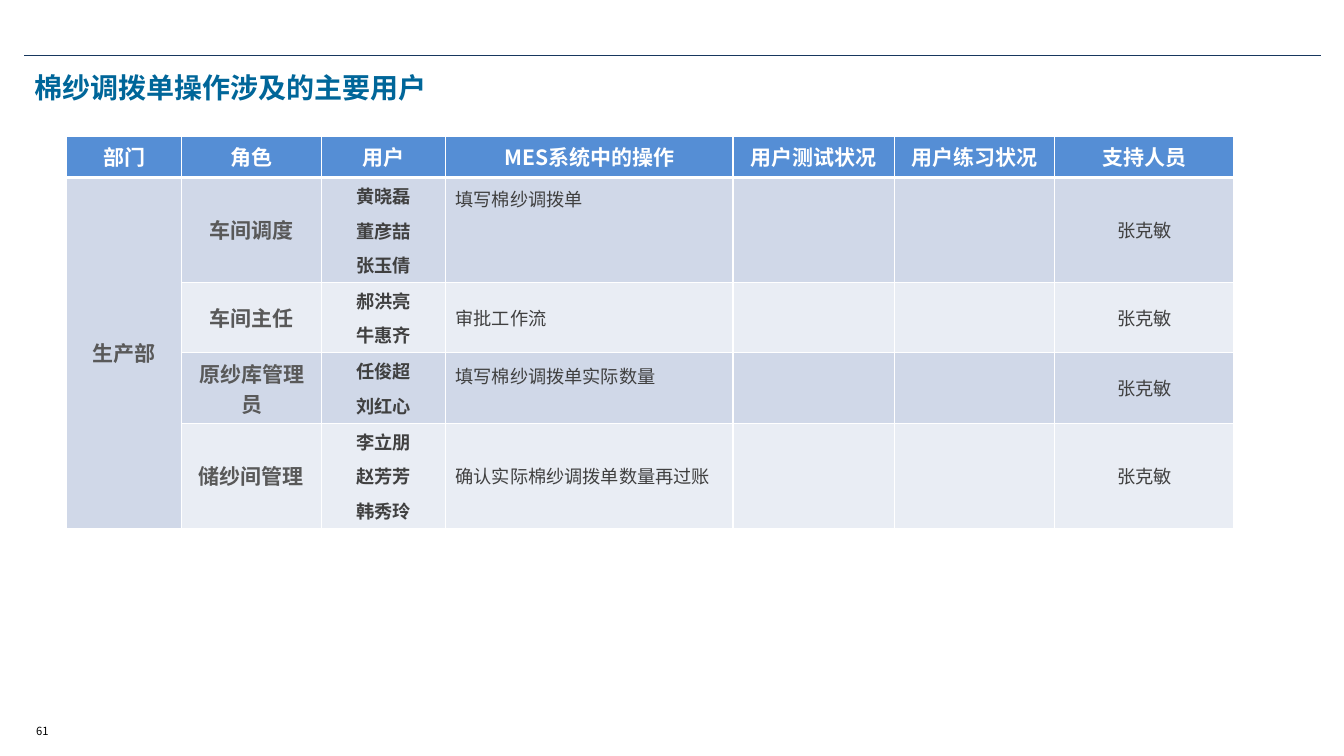
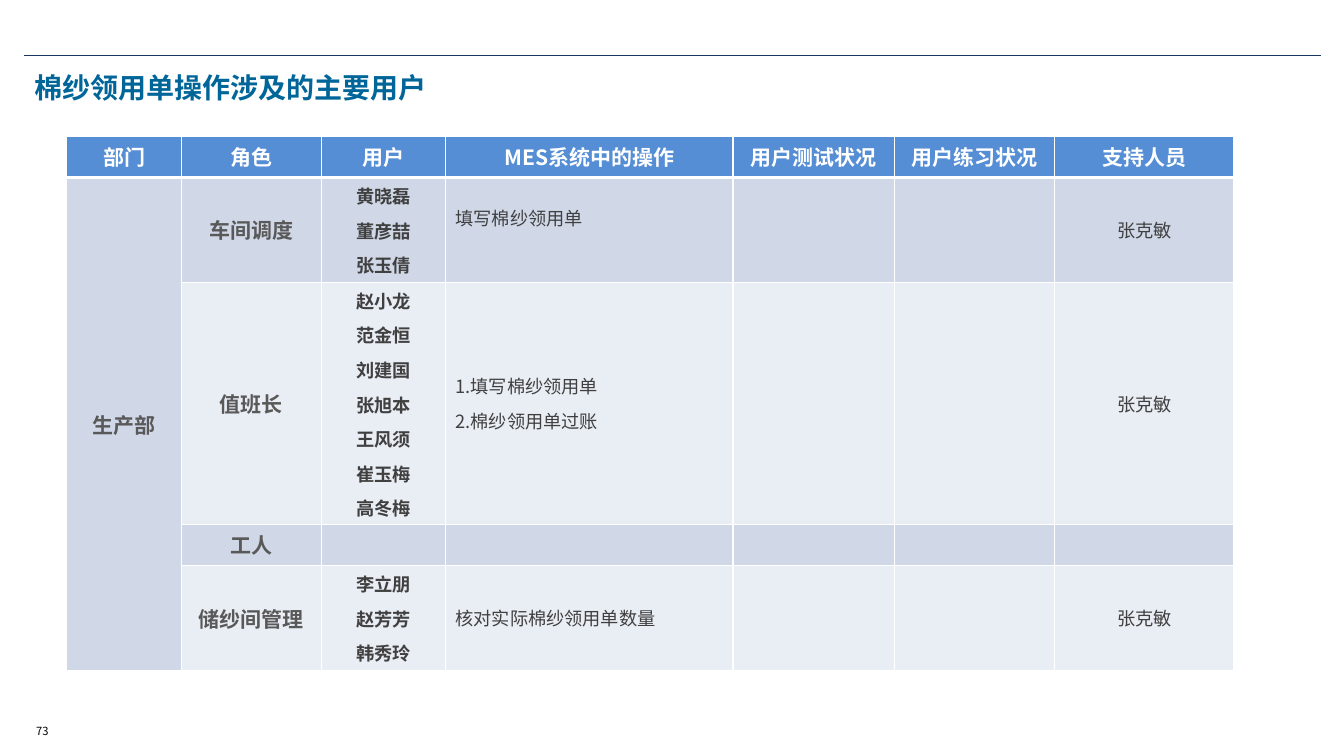
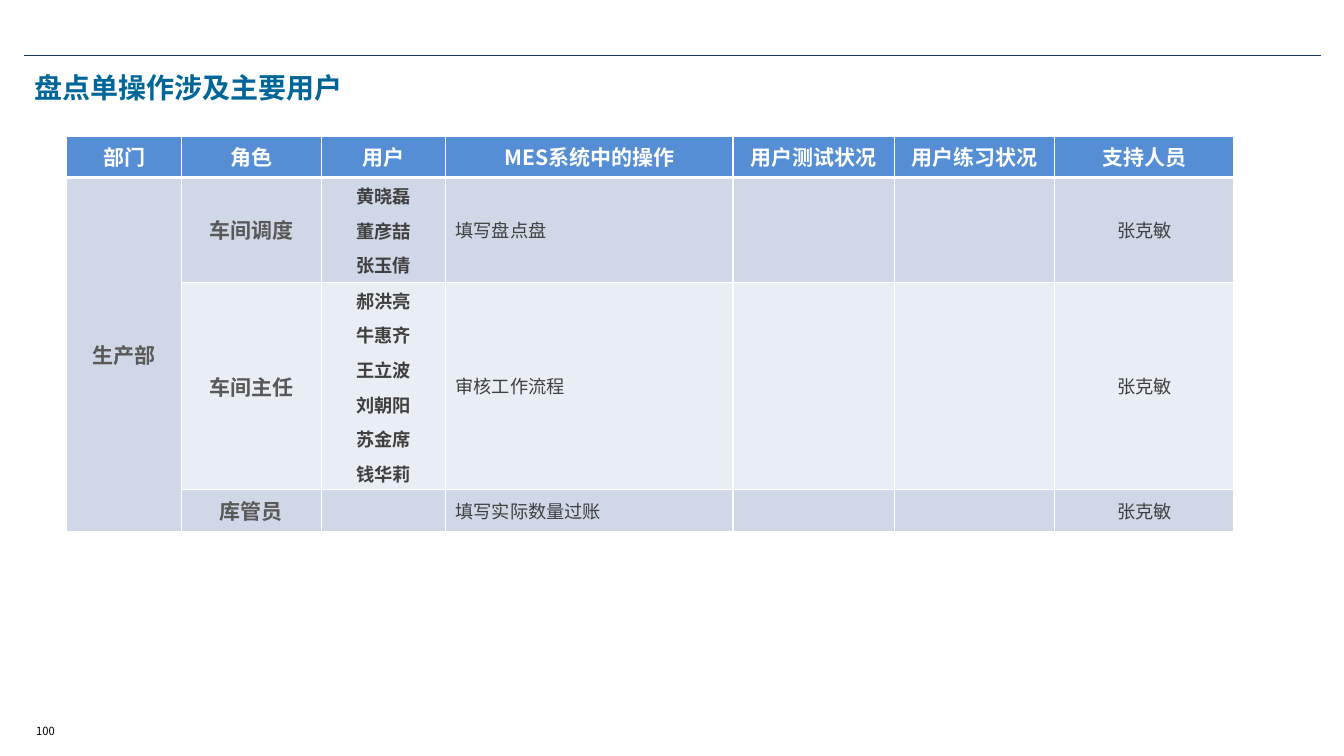
from dataclasses import dataclass

import lxml.etree
import pptx
import pptx.dml.color
import pptx.enum.shapes
import pptx.enum.text
import pptx.oxml.ns
import pptx.slide
import pptx.table
import pptx.text.text
import pptx.util

Inches = pptx.util.Inches
Pt = pptx.util.Pt
RGBColor = pptx.dml.color.RGBColor
Align = pptx.enum.text.PP_ALIGN
Anchor = pptx.enum.text.MSO_ANCHOR
qn = pptx.oxml.ns.qn

FONT = "Noto Sans CJK SC"
NAVY = RGBColor(0x17, 0x37, 0x5E)
TITLE_BLUE = RGBColor(0x00, 0x66, 0x99)
HEADER_BLUE = RGBColor(0x55, 0x8E, 0xD5)
BANDS = (RGBColor(0xD0, 0xD8, 0xE8), RGBColor(0xE9, 0xED, 0xF4))
WHITE = RGBColor(0xFF, 0xFF, 0xFF)
BLACK = RGBColor(0x00, 0x00, 0x00)
ROLE_GREY = RGBColor(0x59, 0x59, 0x59)
BODY_GREY = RGBColor(0x40, 0x40, 0x40)

HEADERS = ("部门", "角色", "用户", "MES系统中的操作", "用户测试状况", "用户练习状况", "支持人员")
COLUMN_WIDTHS = (1.14, 1.39, 1.23, 2.85, 1.6, 1.59, 1.78)
DEPARTMENT = "生产部"
SUPPORTER = "张克敏"
MIN_ROW_HEIGHT = 0.41
NAME_HEIGHT = 0.34
ROW_PADDING = 0.02


@dataclass(frozen=True)
class TextStyle:
    size: float
    color: RGBColor
    bold: bool = False
    align: Align = Align.CENTER
    space_before: float = 0


@dataclass(frozen=True)
class Role:
    """One table row; bottom_margin lifts the operations text above the middle."""
    name: str
    users: tuple[str, ...] = ()
    operations: tuple[str, ...] = ()
    supporter: str = SUPPORTER
    bottom_margin: float = 0.05


@dataclass(frozen=True)
class UserSlide:
    title: str
    number: int
    roles: tuple[Role, ...]


TITLE = TextStyle(20, TITLE_BLUE, True, Align.LEFT)
PAGE_NUMBER = TextStyle(8, BLACK, align=Align.LEFT)
HEADER = TextStyle(15, WHITE, True)
ROLE = TextStyle(15, ROLE_GREY, True)
USER = TextStyle(13, BODY_GREY, True, space_before=6)
OPERATION = TextStyle(13, BODY_GREY, align=Align.JUSTIFY, space_before=6)
SUPPORT = TextStyle(13, BODY_GREY)

DISPATCHERS = ("黄晓磊", "董彦喆", "张玉倩")
YARN_KEEPERS = ("李立朋", "赵芳芳", "韩秀玲")

SLIDES = (
    UserSlide("棉纱调拨单操作涉及的主要用户", 61, (
        Role("车间调度", DISPATCHERS, ("填写棉纱调拨单",), bottom_margin=0.67),
        Role("车间主任", ("郝洪亮", "牛惠齐"), ("审批工作流",)),
        Role("原纱库管理员", ("任俊超", "刘红心"), ("填写棉纱调拨单实际数量",), bottom_margin=0.3),
        Role("储纱间管理", YARN_KEEPERS, ("确认实际棉纱调拨单数量再过账",)),
    )),
    UserSlide("棉纱领用单操作涉及的主要用户", 73, (
        Role("车间调度", DISPATCHERS, ("填写棉纱领用单",), bottom_margin=0.3),
        Role("值班长",
             ("赵小龙", "范金恒", "刘建国", "张旭本", "王风须", "崔玉梅", "高冬梅"),
             ("1.填写棉纱领用单", "2.棉纱领用单过账")),
        Role("工人", supporter=""),
        Role("储纱间管理", YARN_KEEPERS, ("核对实际棉纱领用单数量",)),
    )),
    UserSlide("盘点单操作涉及主要用户", 100, (
        Role("车间调度", DISPATCHERS, ("填写盘点盘",)),
        Role("车间主任",
             ("郝洪亮", "牛惠齐", "王立波", "刘朝阳", "苏金席", "钱华莉"),
             ("审核工作流程",)),
        Role("库管员", operations=("填写实际数量过账",)),
    )),
)


def write_text(frame: pptx.text.text.TextFrame, text: str, style: TextStyle) -> None:
    frame.text = text
    for index, paragraph in enumerate(frame.paragraphs):
        paragraph.alignment = style.align
        if index:
            paragraph.space_before = Pt(style.space_before)
        for run in paragraph.runs:
            run.font.size = Pt(style.size)
            run.font.bold = style.bold
            run.font.color.rgb = style.color
            run.font.name = FONT
            east_asian = lxml.etree.SubElement(run.font._element, qn("a:ea"))
            east_asian.set("typeface", FONT)
        if not paragraph.runs:
            end_mark = lxml.etree.SubElement(paragraph._p, qn("a:endParaRPr"))
            end_mark.set("sz", str(int(style.size * 100)))


def set_borders(cell: pptx.table._Cell, bottom_width: float) -> None:
    properties = cell._tc.get_or_add_tcPr()
    widths = {"a:lnL": 1, "a:lnR": 1, "a:lnT": 1, "a:lnB": bottom_width}
    for position, (side, width) in enumerate(widths.items()):
        border = lxml.etree.Element(qn(side), w=str(Pt(width)))
        fill = lxml.etree.SubElement(border, qn("a:solidFill"))
        lxml.etree.SubElement(fill, qn("a:srgbClr"), val=str(WHITE))
        properties.insert(position, border)


def fill_cell(cell: pptx.table._Cell, text: str, style: TextStyle,
              background: RGBColor, bottom_border: float = 1) -> None:
    write_text(cell.text_frame, text, style)
    cell.vertical_anchor = Anchor.MIDDLE
    cell.fill.solid()
    cell.fill.fore_color.rgb = background
    set_borders(cell, bottom_border)


def add_frame(slide: pptx.slide.Slide, content: UserSlide) -> None:
    """Add the top rule, the title and the page number."""
    rule = slide.shapes.add_connector(
        pptx.enum.shapes.MSO_CONNECTOR.STRAIGHT,
        Inches(0.24), Inches(0.55), Inches(13.1), Inches(0.55))
    rule.line.color.rgb = NAVY
    rule.line.width = Pt(1)
    lxml.etree.SubElement(rule._element.spPr, qn("a:effectLst"))

    title = slide.shapes.title
    title.left, title.top = Inches(0.24), Inches(0.69)
    title.width, title.height = Inches(12.86), Inches(0.76)
    write_text(title.text_frame, content.title, TITLE)
    title.text_frame.vertical_anchor = Anchor.TOP
    title.text_frame.auto_size = pptx.enum.text.MSO_AUTO_SIZE.NONE
    title.text_frame.paragraphs[0].line_spacing = 0.9

    number = slide.shapes.add_textbox(Inches(0.26), Inches(7.13), Inches(0.94), Inches(0.24))
    write_text(number.text_frame, str(content.number), PAGE_NUMBER)
    number.text_frame.word_wrap = True
    number.text_frame.vertical_anchor = Anchor.MIDDLE


def add_user_table(slide: pptx.slide.Slide, roles: tuple[Role, ...]) -> None:
    heights = [MIN_ROW_HEIGHT] + [
        max(MIN_ROW_HEIGHT, NAME_HEIGHT * len(role.users) + ROW_PADDING) for role in roles]
    table = slide.shapes.add_table(
        len(heights), len(HEADERS), Inches(0.66), Inches(1.35),
        Inches(sum(COLUMN_WIDTHS)), Inches(sum(heights))).table
    for column, width in zip(table.columns, COLUMN_WIDTHS):
        column.width = Inches(width)
    for row, height in zip(table.rows, heights):
        row.height = Inches(height)

    for column, header in enumerate(HEADERS):
        fill_cell(table.cell(0, column), header, HEADER, HEADER_BLUE, bottom_border=3)
    for row, role in enumerate(roles, start=1):
        entries = (
            (DEPARTMENT if row == 1 else "", ROLE),
            (role.name, ROLE),
            ("\n".join(role.users), USER),
            ("\n".join(role.operations), OPERATION),
            ("", SUPPORT),
            ("", SUPPORT),
            (role.supporter, SUPPORT),
        )
        band = BANDS[(row - 1) % len(BANDS)]
        for column, (text, style) in enumerate(entries):
            fill_cell(table.cell(row, column), text, style, band)
        table.cell(row, HEADERS.index("MES系统中的操作")).margin_bottom = Inches(role.bottom_margin)
    table.cell(1, 0).merge(table.cell(len(roles), 0))


def main() -> None:
    deck = pptx.Presentation()
    deck.slide_width, deck.slide_height = Inches(13.33), Inches(7.5)
    title_only = deck.slide_layouts.get_by_name("Title Only")
    for content in SLIDES:
        slide = deck.slides.add_slide(title_only)
        add_frame(slide, content)
        add_user_table(slide, content.roles)
    deck.save("out.pptx")


if __name__ == "__main__":
    main()
